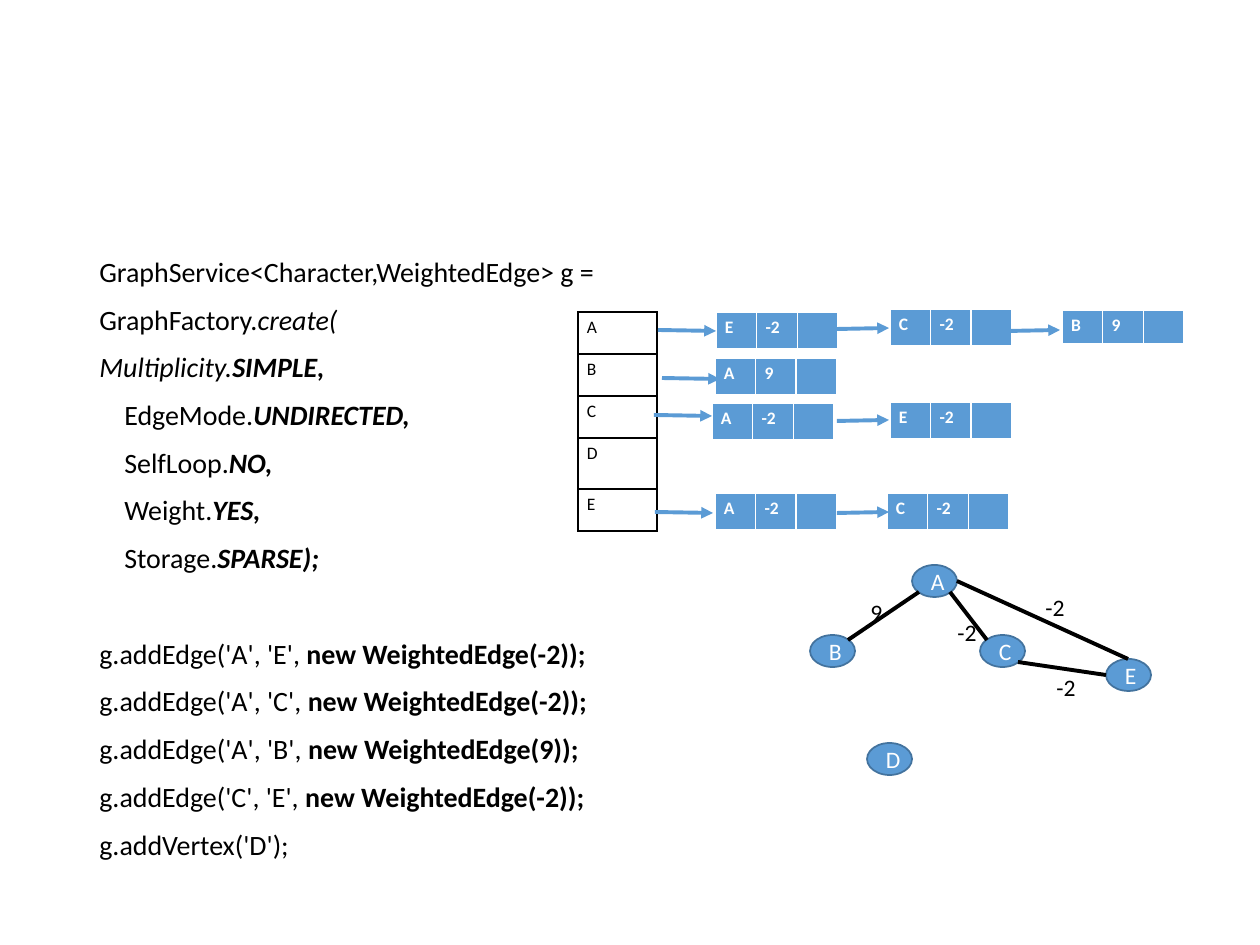
import math
from dataclasses import dataclass
from typing import Any

import lxml.etree
import pptx
import pptx.dml.color
import pptx.enum.shapes
import pptx.enum.text
import pptx.oxml.ns
import pptx.util

PX = 914400 / 126


@dataclass(frozen=True)
class Theme:
    font: str = "Calibri"
    black: str = "000000"
    white: str = "FFFFFF"
    blue: str = "5B9BD5"
    outline: str = "43739E"
    code_size: float = 16
    graph_size: float = 13.5
    cell_size: float = 10
    thick: float = 2.25
    thin: float = 1


@dataclass(frozen=True)
class CodeLine:
    plain: str
    strong: str = ""
    plain_format: tuple = ()
    strong_format: tuple = ("bold",)
    indent: int = 0
    space_before: float = 10


@dataclass(frozen=True)
class Node:
    label: str
    left: int
    top: int
    width: int = 45
    height: int = 32

    def rim(self, degrees: int) -> tuple[int, int]:
        angle = math.radians(degrees)
        return (
            round(self.left + self.width / 2 * (1 + math.cos(angle))),
            round(self.top + self.height / 2 * (1 + math.sin(angle))),
        )


@dataclass(frozen=True)
class Edge:
    start: str
    start_degrees: int
    end: str
    end_degrees: int
    weight: str
    label_left: int
    label_top: int


@dataclass(frozen=True)
class Record:
    vertex: str
    weight: str
    left: int
    top: int
    height: int = 38


@dataclass(frozen=True)
class Arrow:
    left: int
    top: int
    width: int
    drop: int


THEME = Theme()
BOLD_ITALIC = ("bold", "italic")
CODE = [
    CodeLine("GraphService<Character,WeightedEdge> g ="),
    CodeLine("GraphFactory.", "create(", strong_format=("italic",)),
    CodeLine("Multiplicity.", "SIMPLE,", ("italic",), BOLD_ITALIC),
    *(CodeLine(name, value, (), BOLD_ITALIC, indent=25) for name, value in (
        ("EdgeMode.", "UNDIRECTED,"), ("SelfLoop.", "NO,"),
        ("Weight.", "YES,"), ("Storage.", "SPARSE);"))),
    *(CodeLine(f"g.addEdge('{start}', '{end}', ", f"new WeightedEdge({weight}));",
               space_before=gap) for start, end, weight, gap in (
        ("A", "E", -2, 37.3), ("A", "C", -2, 10), ("A", "B", 9, 10), ("C", "E", -2, 10))),
    CodeLine("g.addVertex('D');"),
]
NODES = [Node("A", 912, 565), Node("C", 980, 635), Node("E", 1106, 659),
         Node("B", 810, 635), Node("D", 867, 743)]
EDGES = [
    Edge("B", -45, "A", 135, "9", 858, 592),
    Edge("A", 45, "C", 225, "-2", 945, 612),
    Edge("C", 45, "E", 180, "-2", 1044, 667),
    Edge("A", 0, "E", 270, "-2", 1033, 587),
]
INDEX_ROWS = {"A": 42, "B": 42, "C": 42, "D": 51, "E": 42}
RECORDS = [
    Record("E", "-2", 716, 312), Record("C", "-2", 890, 309), Record("B", "9", 1062, 310, 35),
    Record("A", "9", 715, 358),
    Record("A", "-2", 712, 403), Record("E", "-2", 890, 402),
    Record("A", "-2", 715, 493), Record("C", "-2", 887, 493),
]
ARROWS = [
    *(Arrow(left, top, 58, 1) for left, top in ((658, 330), (662, 378), (654, 415), (655, 512))),
    *(Arrow(left, top, 52, -1) for left, top in ((837, 329), (1008, 331), (837, 421), (837, 513))),
]


def emu(*pixels: int) -> list[pptx.util.Emu]:
    return [pptx.util.Emu(round(value * PX)) for value in pixels]


def rgb(value: str) -> pptx.dml.color.RGBColor:
    return pptx.dml.color.RGBColor.from_string(value)


def apply_format(target: Any, values: dict[str, Any]) -> None:
    for name, value in values.items():
        setattr(target, name, value)


def add_run(paragraph: Any, text: str, size: float, color: str, styles: tuple = ()) -> None:
    run = paragraph.add_run()
    run.text = text
    apply_format(run.font, {"name": THEME.font, "size": pptx.util.Pt(size),
                            **{style: True for style in styles}})
    run.font.color.rgb = rgb(color)


def add_child(parent: Any, tag: str, **attributes: str) -> Any:
    return lxml.etree.SubElement(parent, pptx.oxml.ns.qn(tag), **attributes)


def draw_code(slide: Any) -> None:
    frame = slide.shapes.add_textbox(*emu(87, 252, 1086, 600)).text_frame
    frame.word_wrap = True
    for number, line in enumerate(CODE):
        paragraph = frame.add_paragraph() if number else frame.paragraphs[0]
        apply_format(paragraph, {"line_spacing": 0.9,
                                 "space_before": pptx.util.Pt(line.space_before)})
        if line.indent:
            paragraph._p.get_or_add_pPr().set("marL", str(emu(line.indent)[0]))
        add_run(paragraph, line.plain, THEME.code_size, THEME.black, line.plain_format)
        if line.strong:
            add_run(paragraph, line.strong, THEME.code_size, THEME.black, line.strong_format)


def draw_line(slide: Any, start: tuple[int, int], end: tuple[int, int],
              color: str, arrow: bool = False) -> None:
    connector = slide.shapes.add_connector(
        pptx.enum.shapes.MSO_CONNECTOR.STRAIGHT, *emu(*start, *end))
    connector.line.color.rgb = rgb(color)
    connector.line.width = pptx.util.Pt(THEME.thick)
    if arrow:
        add_child(connector.line._get_or_add_ln(), "a:tailEnd", type="triangle")
    add_child(connector._element.spPr, "a:effectLst")


def draw_node(slide: Any, node: Node) -> None:
    shape = slide.shapes.add_shape(pptx.enum.shapes.MSO_SHAPE.OVAL,
                                   *emu(node.left, node.top, node.width, node.height))
    shape.shadow.inherit = False
    shape.fill.solid()
    shape.fill.fore_color.rgb = rgb(THEME.blue)
    shape.line.color.rgb = rgb(THEME.outline)
    shape.line.width = pptx.util.Pt(THEME.thin)
    shape.text_frame.vertical_anchor = pptx.enum.text.MSO_ANCHOR.MIDDLE
    paragraph = shape.text_frame.paragraphs[0]
    paragraph.alignment = pptx.enum.text.PP_ALIGN.CENTER
    add_run(paragraph, node.label, THEME.graph_size, THEME.white)


def draw_edge(slide: Any, edge: Edge, nodes: dict[str, Node]) -> None:
    draw_line(slide, nodes[edge.start].rim(edge.start_degrees),
              nodes[edge.end].rim(edge.end_degrees), THEME.black)
    box = slide.shapes.add_textbox(*emu(edge.label_left, edge.label_top, 45, 42))
    apply_format(box.text_frame, {"word_wrap": False,
                                  "auto_size": pptx.enum.text.MSO_AUTO_SIZE.SHAPE_TO_FIT_TEXT})
    add_run(box.text_frame.paragraphs[0], edge.weight, THEME.graph_size, THEME.black)


def draw_table(slide: Any, rows: list[list[str]], heights: list[int], left: int, top: int,
               width: int, color: str, border: str, fill: str = "", styles: tuple = ()) -> None:
    table = slide.shapes.add_table(len(rows), len(rows[0]),
                                   *emu(left, top, width, sum(heights))).table
    apply_format(table, {"first_row": False, "horz_banding": False})
    side, edge = emu(9, 5)
    for row, height, texts in zip(table.rows, heights, rows):
        row.height = emu(height)[0]
        for cell, text in zip(row.cells, texts):
            apply_format(cell, {"margin_left": side, "margin_right": side,
                                "margin_top": edge, "margin_bottom": edge})
            for tag in ("a:lnL", "a:lnR", "a:lnT", "a:lnB"):
                points = 3 if fill and tag == "a:lnB" else THEME.thin
                line = add_child(cell._tc.get_or_add_tcPr(), tag, w=str(pptx.util.Pt(points)))
                add_child(add_child(line, "a:solidFill"), "a:srgbClr", val=border)
            if fill:
                cell.fill.solid()
                cell.fill.fore_color.rgb = rgb(fill)
            else:
                cell.fill.background()
            paragraph = cell.text_frame.paragraphs[0]
            if text:
                add_run(paragraph, text, THEME.cell_size, color, styles)
            else:
                add_child(paragraph._p, "a:endParaRPr", sz=str(round(THEME.cell_size * 100)))


def main() -> None:
    presentation = pptx.Presentation()
    width, height = emu(1260, 945)
    apply_format(presentation, {"slide_width": width, "slide_height": height})
    slide = presentation.slides.add_slide(presentation.slide_layouts[6])
    draw_code(slide)
    for node in NODES:
        draw_node(slide, node)
    nodes = {node.label: node for node in NODES}
    for edge in EDGES:
        draw_edge(slide, edge, nodes)
    draw_table(slide, [[vertex] for vertex in INDEX_ROWS], list(INDEX_ROWS.values()),
               578, 312, 79, THEME.black, THEME.black)
    for record in RECORDS:
        draw_table(slide, [[record.vertex, record.weight, ""]], [record.height], record.left,
                   record.top, 122, THEME.white, THEME.white, THEME.blue, ("bold",))
    for arrow in ARROWS:
        draw_line(slide, (arrow.left, arrow.top),
                  (arrow.left + arrow.width, arrow.top + arrow.drop), THEME.blue, True)
    presentation.save("out.pptx")


if __name__ == "__main__":
    main()
